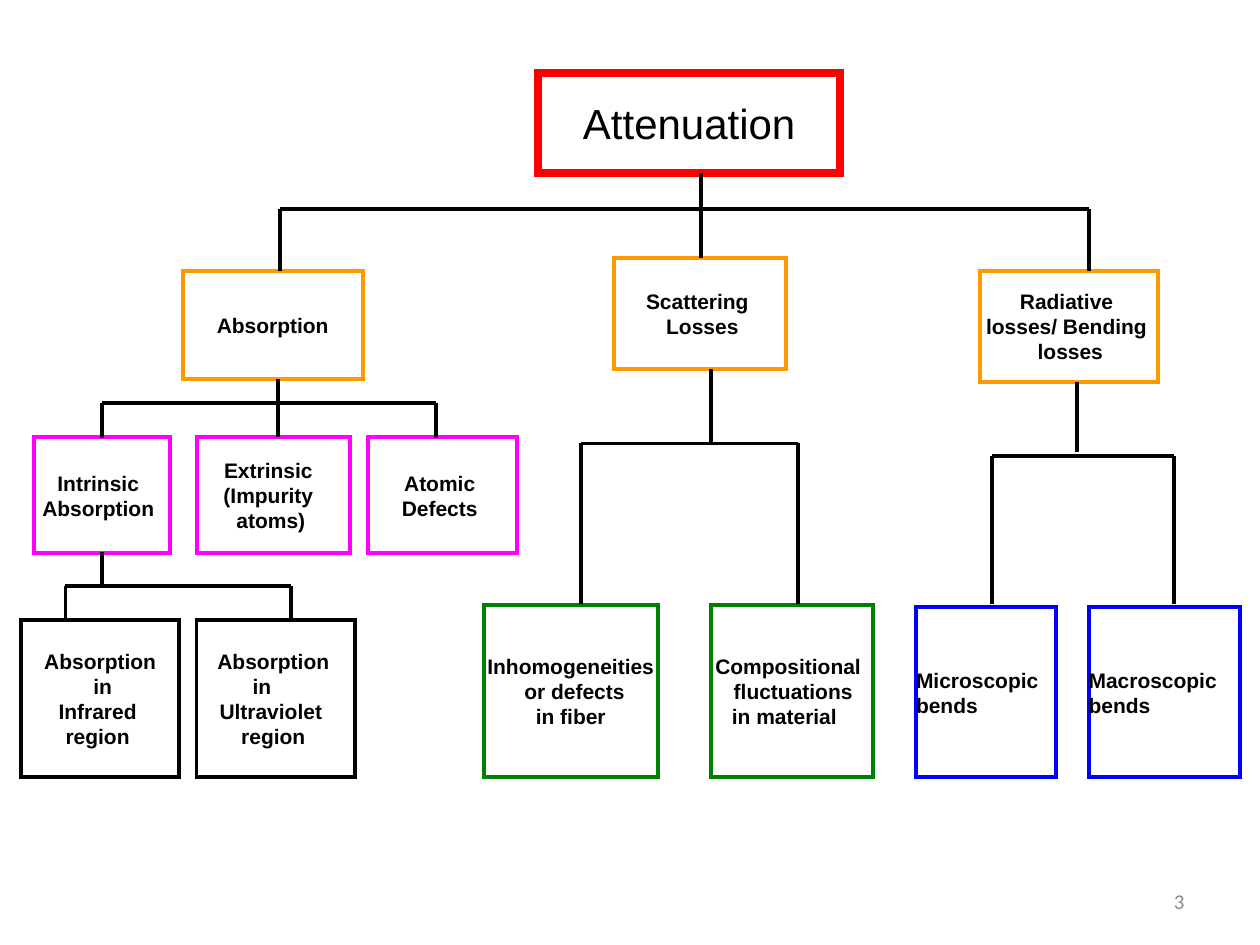
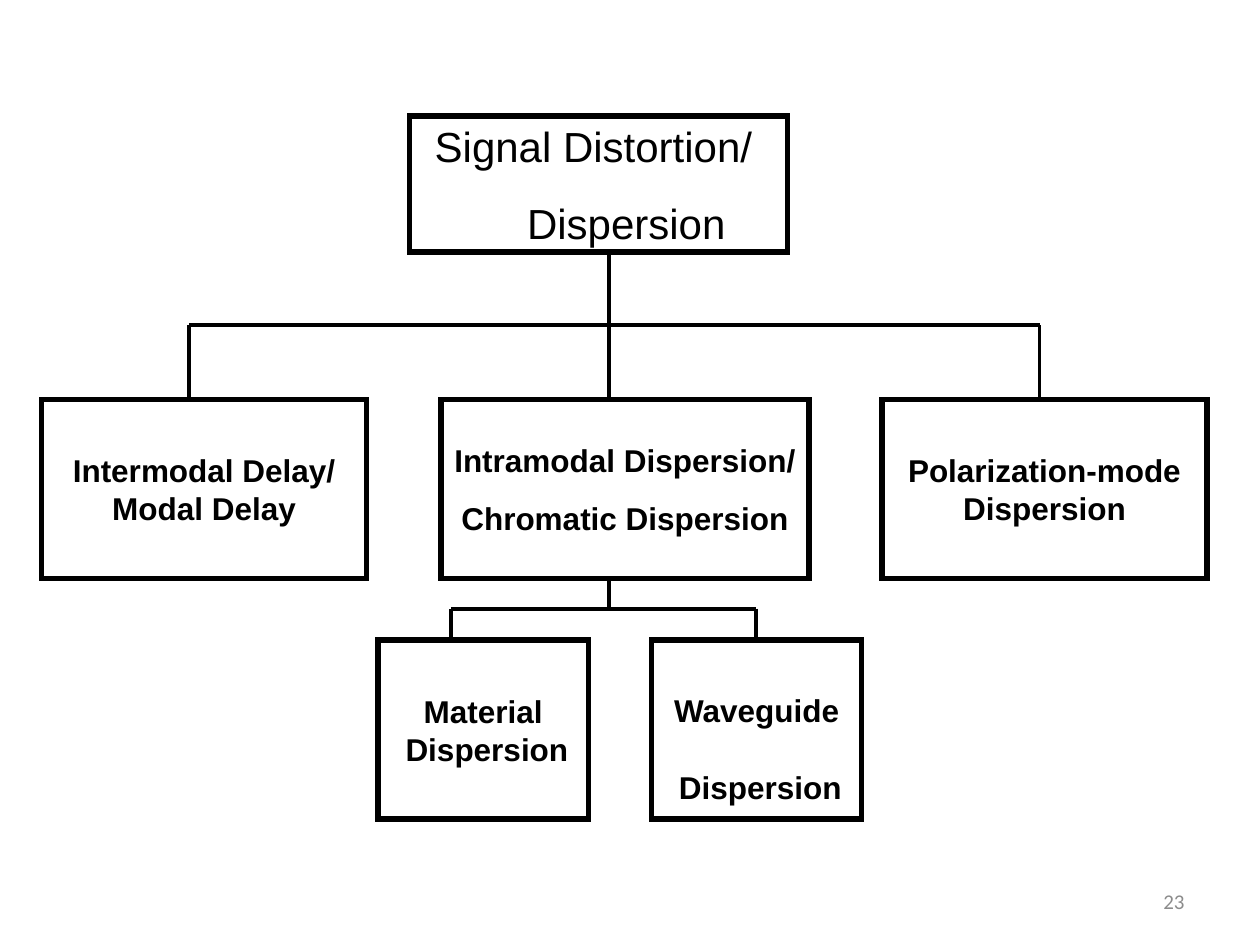
from pptx import Presentation
from pptx import util as u
from pptx.dml.color import RGBColor
from pptx.enum import shapes, text
from pptx.oxml.ns import qn
from lxml import etree

INK = {"black": "000000", "red": "FF0000", "orange": "FF9900", "pink": "FF00FF",
       "green": "008000", "blue": "0000FF", "grey": "8C8C8C"}
FACE = "Arial"
MID, LEFT = text.PP_ALIGN.CENTER, text.PP_ALIGN.LEFT

# Box: place (left, top, width, height), colour, lines as (words, shift from centre),
# then any extra settings
# Fork: stem (x, top, end), bar height, drop positions, drop end
LOSS = {
    "page": "3", "size": 12, "edge": 2.25,
    "title": ((4.27, 0.58, 2.4, 0.79), "red", [("Attenuation", 0)], {"edge": 4.5}),
    "boxes": [
        ((1.45, 2.15, 1.43, 0.86), "orange", [("Absorption", 0)], {}),
        ((4.87, 2.05, 1.37, 0.88), "orange",
         [("Scattering", -0.02), ("Losses", 0.04)], {}),
        ((7.78, 2.15, 1.41, 0.88), "orange",
         [("Radiative", -0.02), ("losses/ Bending", 0), ("losses", 0.03)], {}),
        ((0.27, 3.47, 1.08, 0.92), "pink",
         [("Intrinsic", -0.03), ("Absorption", 0)], {}),
        ((1.56, 3.47, 1.22, 0.92), "pink",
         [("Extrinsic", -0.04), ("(Impurity", 0), ("atoms)", 0.02)], {}),
        ((2.92, 3.47, 1.18, 0.92), "pink", [("Atomic", -0.02), ("Defects", 0)], {}),
        ((0.17, 4.92, 1.25, 1.25), "black",
         [("Absorption", 0), ("in", 0.02), ("Infrared", -0.02), ("region", 0)], {}),
        ((1.56, 4.92, 1.26, 1.25), "black",
         [("Absorption", -0.02), ("in", -0.11), ("Ultraviolet", -0.04),
          ("region", -0.02)], {}),
        ((3.84, 4.8, 1.38, 1.37), "green",
         [("Inhomogeneities", 0), ("or defects", 0.03), ("in fiber", 0)], {}),
        ((5.64, 4.8, 1.29, 1.37), "green",
         [("Compositional", -0.03), ("fluctuations", 0.04), ("in material", -0.06)], {}),
        ((7.27, 4.82, 1.11, 1.35), "blue",
         [("Microscopic", 0), ("bends", 0)], {"align": LEFT}),
        ((8.64, 4.82, 1.2, 1.35), "blue",
         [("Macroscopic", 0), ("bends", 0)], {"align": LEFT}),
    ],
    "forks": [
        ((5.56, 1.37, 2.05), 1.66, (2.22, 8.64), 2.15),
        ((2.21, 3.01, 3.47), 3.2, (0.81, 3.46), 3.48),
        ((0.81, 4.38, 4.65), 4.65, (0.52, 2.31), 4.92),
        ((5.64, 2.93, 3.52), 3.52, (4.61, 6.33), 4.79),
        ((8.55, 3.03, 3.59), 3.62, (7.87, 9.32), 4.79),
    ],
}
SPREAD = {
    "page": "23", "size": 18, "edge": 3,
    "title": ((3.25, 0.92, 3, 1.08), "black",
              [("Signal Distortion/", -0.04), ("Dispersion", 0.26)], {"gap": 15.5}),
    "boxes": [
        ((0.33, 3.17, 2.58, 1.42), "black",
         [("Intermodal Delay/", 0), ("Modal Delay", 0)], {}),
        ((3.5, 3.17, 2.92, 1.42), "black",
         [("Intramodal Dispersion/", 0), ("Chromatic Dispersion", 0)], {"gap": 11.5}),
        ((7, 3.17, 2.58, 1.42), "black",
         [("Polarization-mode", 0), ("Dispersion", 0)], {}),
        ((3, 5.08, 1.67, 1.42), "black", [("Material", 0), ("Dispersion", 0.03)], {}),
        ((5.17, 5.08, 1.67, 1.42), "black",
         [("Waveguide", 0), ("Dispersion", 0.03)], {"gap": 22, "drop": 0.3}),
    ],
    "forks": [
        ((4.83, 2, 3.17), 2.58, (1.5, 8.25), 3.17),
        ((4.83, 4.58, 4.83), 4.83, (3.58, 6), 5.08),
    ],
}


def tint(name):
    return RGBColor.from_string(INK[name])


def place(shape, spot):
    shape.left, shape.top, shape.width, shape.height = map(u.Inches, spot)


def style(par, size, bold=False, ink="black", face=FACE):
    font = par.font
    font.name, font.size, font.bold = face, u.Pt(size), bold
    font.color.rgb = tint(ink)


def fill_box(shape, ink, lines, size, bold, edge, gap=0, drop=0, align=MID):
    """Outline a shape and set its lines, each nudged from the centre."""
    shape.fill.background()
    shape.line.color.rgb = tint(ink)
    shape.line.width = u.Pt(edge)
    etree.SubElement(shape.line._ln, qn("a:miter"), lim="800000")
    frame = shape.text_frame
    frame.word_wrap = True
    frame.auto_size = text.MSO_AUTO_SIZE.NONE
    frame.vertical_anchor = text.MSO_ANCHOR.MIDDLE
    frame.margin_left = frame.margin_right = frame.margin_bottom = 0
    frame.margin_top = u.Inches(drop)
    for i, (words, shift) in enumerate(lines):
        par = frame.add_paragraph() if i else frame.paragraphs[0]
        par.text, par.alignment = words, align
        if i and gap:
            par.space_before = u.Pt(gap)
        if shift:
            side = "marL" if shift > 0 else "marR"
            par._p.get_or_add_pPr().set(side, str(u.Inches(2 * abs(shift))))
        style(par, size, bold)


def draw_line(slide, *ends):
    line = slide.shapes.add_connector(shapes.MSO_CONNECTOR.STRAIGHT,
                                      *map(u.Inches, ends))
    line.line.color.rgb = tint("black")
    line.line.width = u.Pt(2.25)
    etree.SubElement(line._element.spPr, qn("a:effectLst"))


def draw_fork(slide, stem, bar, drops, end):
    x, top, low = stem
    draw_line(slide, drops[0], bar, drops[-1], bar)
    for drop in drops:
        draw_line(slide, drop, bar, drop, end)
    draw_line(slide, x, top, x, low)


def add_page(slide, page):
    box = slide.shapes.add_textbox(*map(u.Inches, (7.17, 6.95, 2.33, 0.4)))
    frame = box.text_frame
    frame.word_wrap = True
    frame.vertical_anchor = text.MSO_ANCHOR.MIDDLE
    par = frame.paragraphs[0]
    par.text, par.alignment = page, text.PP_ALIGN.RIGHT
    style(par, 12, ink="grey", face="Calibri")


def add_tree(deck, tree):
    slide = deck.slides.add_slide(deck.slide_layouts[5])
    # Root of the tree is the slide title
    spot, ink, lines, more = tree["title"]
    title = slide.shapes.title
    place(title, spot)
    fill_box(title, ink, lines, 24, False, **{"edge": tree["edge"], **more})
    # Branches
    for spot, ink, lines, more in tree["boxes"]:
        box = slide.shapes.add_shape(shapes.MSO_SHAPE.RECTANGLE, *map(u.Inches, spot))
        box.shadow.inherit = False
        fill_box(box, ink, lines, tree["size"], True, tree["edge"], **more)
    # Links between levels
    for fork in tree["forks"]:
        draw_fork(slide, *fork)
    add_page(slide, tree["page"])


def main():
    deck = Presentation()
    deck.slide_width, deck.slide_height = u.Inches(10), u.Inches(7.5)
    for tree in (LOSS, SPREAD):
        add_tree(deck, tree)
    deck.save("out.pptx")


if __name__ == "__main__":
    main()
